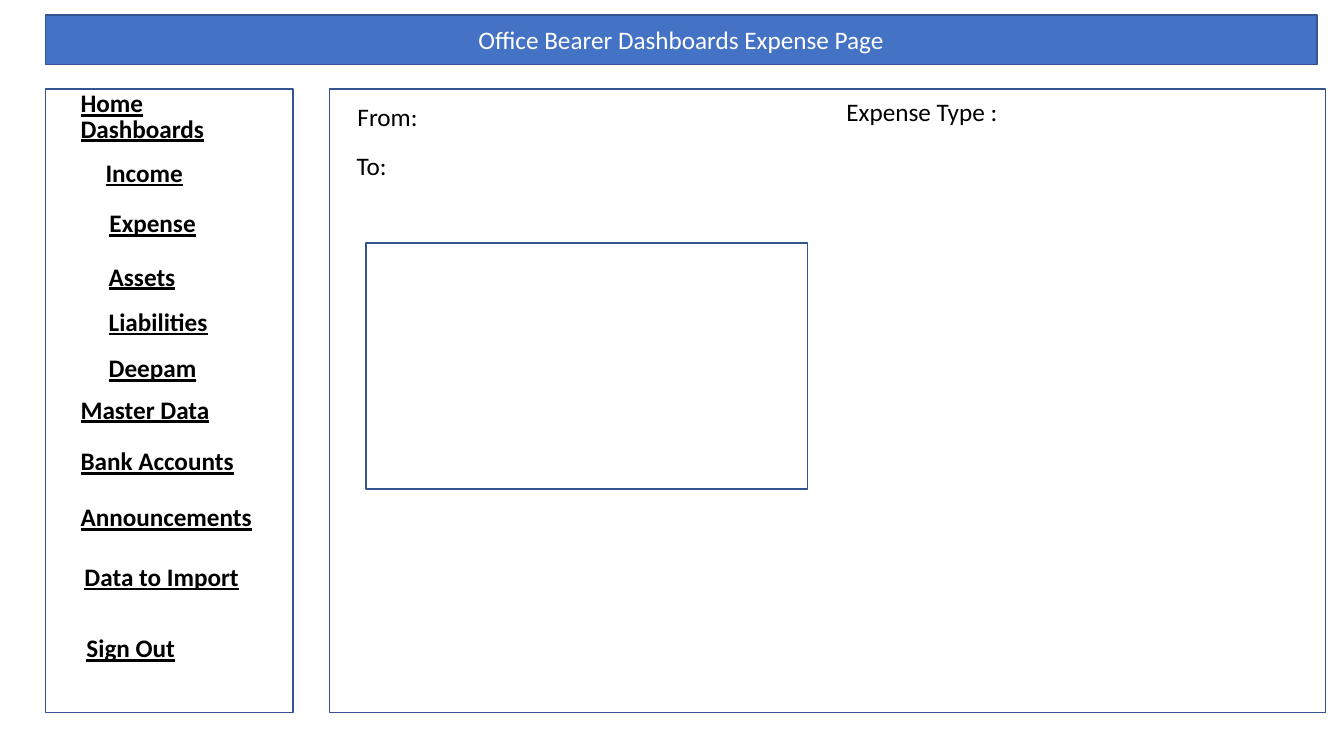
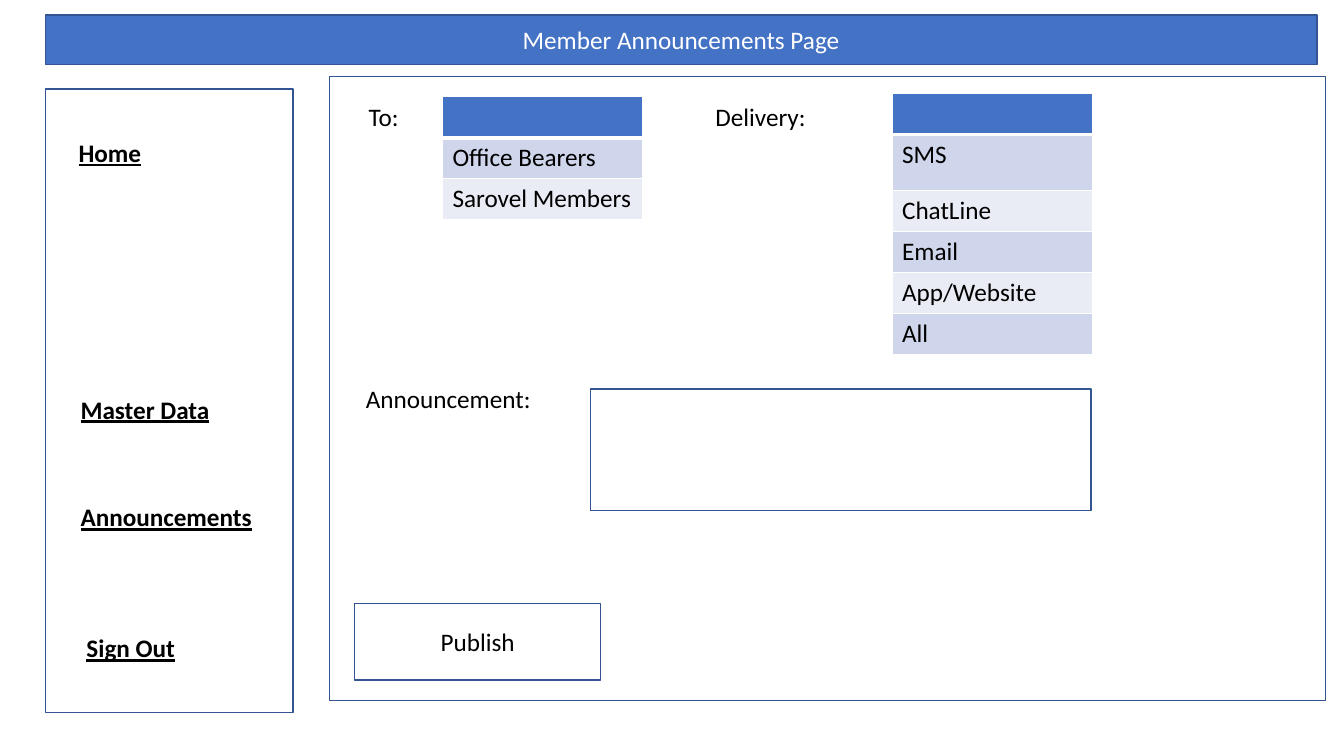
from dataclasses import dataclass

from lxml.etree import SubElement
from pptx import Presentation
from pptx.dml.color import RGBColor
from pptx.enum.shapes import MSO_SHAPE as Preset
from pptx.enum.text import MSO_ANCHOR as Anchor
from pptx.enum.text import MSO_AUTO_SIZE as AutoSize
from pptx.enum.text import PP_ALIGN as Align
from pptx.oxml.ns import qn
from pptx.util import Cm, Pt


@dataclass(frozen=True)
class Theme:
    """Colours, type and line widths shared by the slides."""
    font: str = "Calibri"
    size: int = 18
    outline: float = 1
    cell_line: float = 1
    header_line: float = 3
    accent: str = "4472C4"
    edge: str = "325491"
    white: str = "FFFFFF"
    black: str = "000000"
    bands: tuple = ("CFD5EA", "E9EBF5")


THEME = Theme()
LABEL_WIDTH, TEXT_HEIGHT = 8.2, 1.02
TABLE_WIDTH, ROW_HEIGHT = 5.05, 1.03
PANEL_TOP = 2.24

# Left, top and width of the menu entries, in centimetres
MENU = {
    "Home": (1.78, 2.08, 6.25),
    "Dashboards": (1.78, 2.72, 6.25),
    "Income": (2.41, 3.84, 6.25),
    "Expense": (2.51, 5.11, 6.25),
    "Assets": (2.49, 6.45, 6.25),
    "Liabilities": (2.49, 7.59, 6.25),
    "Deepam": (2.49, 8.76, 6.25),
    "Master Data": (1.78, 9.8, 6.25),
    "Bank Accounts": (1.78, 11.1, 6.25),
    "Announcements": (1.78, 12.52, 4.9),
    "Data to Import": (1.88, 14.02, 6.25),
    "Sign Out": (1.93, 15.82, 6.25),
}
MEMBER_MENU = {
    "Home": (1.73, 3.33, 6.25),
    **{name: MENU[name] for name in ("Master Data", "Announcements", "Sign Out")},
}


def add_span(para, text, color=THEME.black, link=False):
    """Add one run in the theme font; links are bold and underlined."""
    span = para.add_run()
    span.text = text
    font = span.font
    font.name, font.size = THEME.font, Pt(THEME.size)
    font.color.rgb = RGBColor.from_string(color)
    font.bold = font.underline = link


def add_label(page, text, left, top, width=LABEL_WIDTH, link=False):
    """Add a one-line text box."""
    box = page.shapes.add_textbox(Cm(left), Cm(top), Cm(width), Cm(TEXT_HEIGHT))
    box.text_frame.word_wrap = True
    box.text_frame.auto_size = AutoSize.SHAPE_TO_FIT_TEXT
    add_span(box.text_frame.paragraphs[0], text, link=link)


def add_frame(page, left, top, width, height, text="", fill=THEME.white,
              color=THEME.black, preset=Preset.RECTANGLE):
    """Add an outlined box with optional centred text."""
    box = page.shapes.add_shape(preset, Cm(left), Cm(top), Cm(width), Cm(height))
    box.shadow.inherit = False
    box.fill.solid()
    box.fill.fore_color.rgb = RGBColor.from_string(fill)
    box.line.color.rgb = RGBColor.from_string(THEME.edge)
    box.line.width = Pt(THEME.outline)
    if text:
        box.text_frame.vertical_anchor = Anchor.MIDDLE
        para = box.text_frame.paragraphs[0]
        para.alignment = Align.CENTER
        add_span(para, text, color)


def style_cell(cell, fill, top_line, bottom_line):
    """Give a cell white borders and a plain fill."""
    properties = cell._tc.get_or_add_tcPr()
    sides = {"L": THEME.cell_line, "R": THEME.cell_line,
             "T": top_line, "B": bottom_line}
    for side, width in sides.items():
        border = SubElement(properties, qn(f"a:ln{side}"), w=str(Pt(width)))
        paint = SubElement(border, qn("a:solidFill"))
        SubElement(paint, qn("a:srgbClr"), val=THEME.white)
    cell.fill.solid()
    cell.fill.fore_color.rgb = RGBColor.from_string(fill)


def add_choices(page, left, top, choices, heights=None):
    """Add a one-column list under an empty header; heights overrides rows."""
    heights = heights or {}
    rows = [heights.get(name, ROW_HEIGHT) for name in ("", *choices)]
    table = page.shapes.add_table(len(rows), 1, Cm(left), Cm(top),
                                  Cm(TABLE_WIDTH), Cm(sum(rows))).table
    table.first_row = table.horz_banding = False
    for index, height in enumerate(rows):
        table.rows[index].height = Cm(height)
        cell = table.cell(index, 0)
        if index == 0:
            style_cell(cell, THEME.accent, THEME.cell_line, THEME.header_line)
            continue
        top_line = THEME.header_line if index == 1 else THEME.cell_line
        band = THEME.bands[(index - 1) % len(THEME.bands)]
        style_cell(cell, band, top_line, THEME.cell_line)
        add_span(cell.text_frame.paragraphs[0], choices[index - 1])


def add_page(deck, title, menu, panel_top=PANEL_TOP):
    """Add a slide with title band, side menu and main panel."""
    page = deck.slides.add_slide(deck.slide_layouts[6])
    add_frame(page, 1.14, PANEL_TOP, 6.25, 15.72)
    add_frame(page, 1.14, 0.38, 32.05, 1.24, title, THEME.accent, THEME.white)
    add_frame(page, 8.31, panel_top, 25.1, 15.72)
    for name, (left, top, width) in menu.items():
        add_label(page, name, left, top, width, link=True)
    return page


def add_expense_page(deck):
    """Build the expense filter page."""
    page = add_page(deck, "Office Bearer Dashboards Expense Page", MENU)
    add_frame(page, 9.22, 6.12, 11.13, 6.2)
    add_label(page, "From:", 8.76, 2.44)
    add_label(page, "To:", 8.74, 3.66)
    add_label(page, "Expense Type :", 21.08, 2.31)


def add_announcements_page(deck):
    """Build the announcement form."""
    page = add_page(deck, "Member Announcements Page", MEMBER_MENU, panel_top=1.93)
    add_label(page, "To:", 9.04, 2.44)
    add_choices(page, 11.15, 2.44, ["Office Bearers", "Sarovel Members"])
    add_label(page, "Delivery:", 17.78, 2.44)
    add_choices(page, 22.48, 2.36,
                ["SMS", "ChatLine", "Email", "App/Website", "All"], {"SMS": 1.42})
    add_label(page, "Announcement:", 8.97, 9.53)
    add_frame(page, 14.88, 9.8, 12.62, 3.07, preset=Preset.ACTION_BUTTON_CUSTOM)
    add_frame(page, 8.94, 15.21, 6.2, 1.93, "Publish")


def main():
    """Build and save the deck."""
    deck = Presentation()
    deck.slide_width, deck.slide_height = Cm(33.87), Cm(19.05)
    add_expense_page(deck)
    add_announcements_page(deck)
    deck.save("out.pptx")


main()
